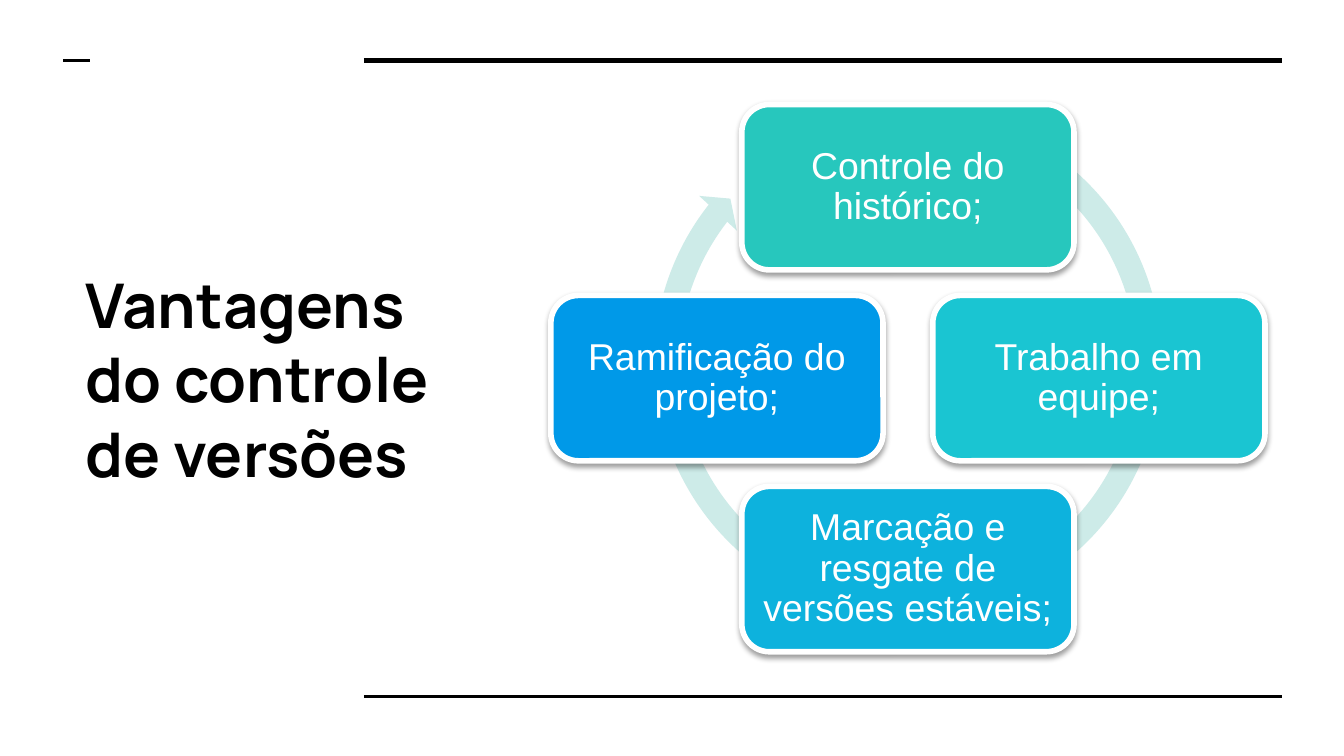
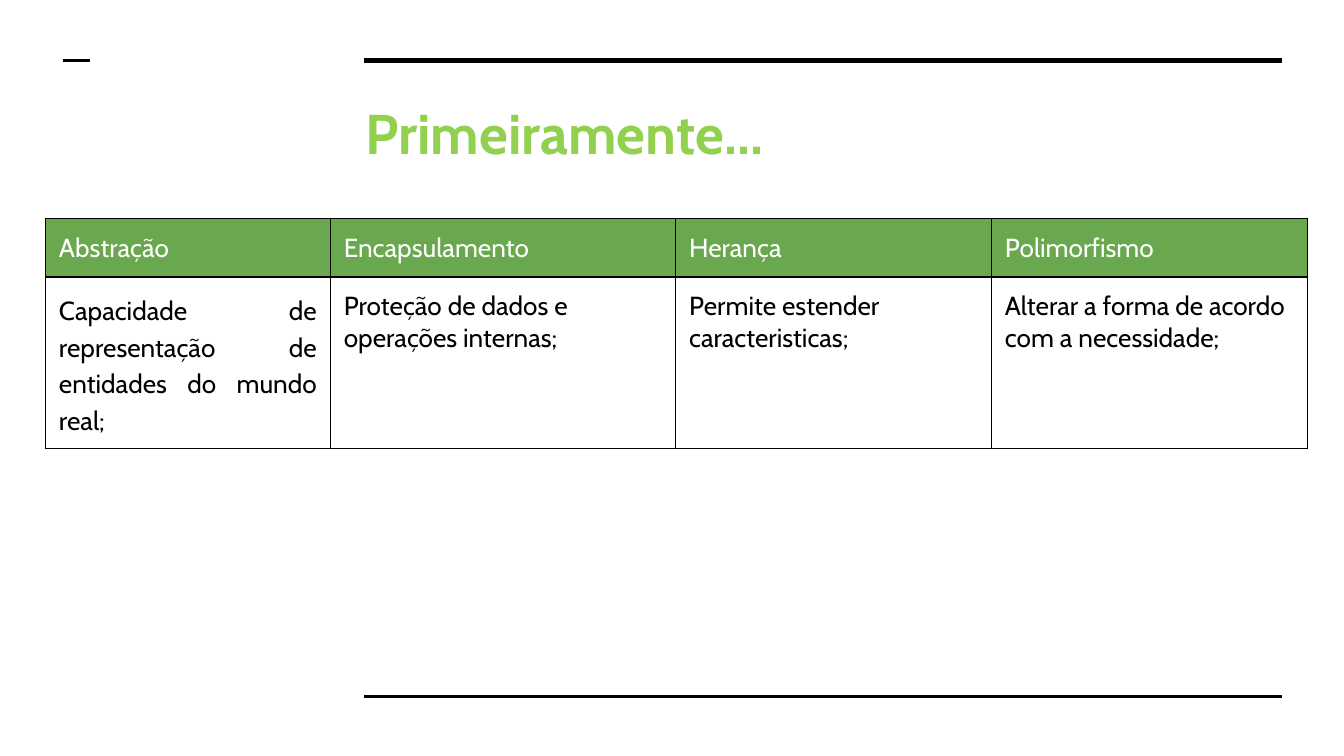
from math import cos, pi, sin

from lxml.etree import SubElement
from pptx import Presentation
from pptx.dml.color import RGBColor
from pptx.enum.shapes import MSO_CONNECTOR, MSO_SHAPE
from pptx.enum.text import MSO_ANCHOR, PP_ALIGN
from pptx.oxml.ns import qn
from pptx.util import Pt

COLORS = {
    "ink": "000000", "paper": "FFFFFF", "ring": "CDEBE8",
    "teal": "27C7BD", "turquoise": "1AC5D2", "cyan": "0DB2DD", "blue": "0099E8",
    "lime": "92D050", "green": "6AA84F",
}
# left, right, y, weight
RULES = [(195, 687, 32.4, 3), (195, 687, 373, 1.5), (33.8, 48.2, 32.4, 1.5)]

ADVANTAGES_TITLE = "Vantagens do controle de versões"
# Clockwise from the top
ADVANTAGES = [
    ("Controle do histórico;", "teal"),
    ("Trabalho em equipe;", "turquoise"),
    ("Marcação e resgate de versões estáveis;", "cyan"),
    ("Ramificação do projeto;", "blue"),
]
CYCLE_CENTER = (486.4, 202.6)
CYCLE_RADIUS = 102.3
BOX_SIZE = (178, 88.6)
RING_SIZE, RING_MIDDLE = 286, 194
RING_THICKNESS, RING_HEAD = 0.047, 0.048
RING_ANGLES = (4.55, 218.09, 297.67)

PILLARS_TITLE = "Primeiramente..."
PILLARS = [
    ("Abstração", "Capacidade de representação de entidades do mundo real;", 152.6),
    ("Encapsulamento", "Proteção de dados e operações internas;", 185),
    ("Herança", "Permite estender caracteristicas;", 169.2),
    ("Polimorfismo", "Alterar a forma de acordo com a necessidade;", 169.2),
]
TABLE_LEFT, TABLE_TOP, TABLE_HEIGHT, ROW_HEIGHT = 24.4, 117.2, 121, 30.2


def rgb(color):
    return RGBColor.from_string(COLORS[color])


def write(frame, text, font, size, color, bold=False):
    """Fill the first paragraph with one run and return the paragraph."""
    paragraph = frame.paragraphs[0]
    run = paragraph.add_run()
    run.text = text
    run.font.name = font
    run.font.size = Pt(size)
    run.font.bold = bold
    run.font.color.rgb = rgb(color)
    return paragraph


def set_insets(frame, x, y):
    frame.margin_left = frame.margin_right = Pt(x)
    frame.margin_top = frame.margin_bottom = Pt(y)


def add_title(slide, place, text, font, size, color, anchor):
    frame = slide.shapes.add_textbox(*map(Pt, place)).text_frame
    frame.word_wrap = True
    frame.vertical_anchor = anchor
    set_insets(frame, 7.2, 7.2)
    return write(frame, text, font, size, color, bold=True)


def add_ruled_slide(deck):
    slide = deck.slides.add_slide(deck.slide_layouts[6])
    slide.background.fill.solid()
    slide.background.fill.fore_color.rgb = rgb("paper")
    for left, right, y, weight in RULES:
        rule = slide.shapes.add_connector(
            MSO_CONNECTOR.STRAIGHT, Pt(left), Pt(y), Pt(right), Pt(y))
        rule.line.color.rgb = rgb("ink")
        rule.line.width = Pt(weight)
        SubElement(rule._element.spPr, qn("a:effectLst"))
    return slide


def add_filled_shape(slide, preset, center, size, color):
    (x, y), (width, height) = center, size
    shape = slide.shapes.add_shape(
        preset, Pt(x - width / 2), Pt(y - height / 2), Pt(width), Pt(height))
    shape.shadow.inherit = False
    shape.fill.solid()
    shape.fill.fore_color.rgb = rgb(color)
    shape.line.fill.background()
    return shape


def drop_shadow(shape):
    effects = shape._element.spPr.find(qn("a:effectLst"))
    shadow = SubElement(effects, qn("a:outerShdw"), blurRad=str(Pt(3.1)),
                        dist=str(Pt(1.6)), dir=str(90 * 60000), rotWithShape="0")
    tint = SubElement(shadow, qn("a:srgbClr"), val=COLORS["ink"])
    SubElement(tint, qn("a:alpha"), val="38000")


def add_cycle(slide):
    center_x, center_y = CYCLE_CENTER
    ring = add_filled_shape(slide, MSO_SHAPE.CIRCULAR_ARROW, (center_x, RING_MIDDLE),
                            (RING_SIZE, RING_SIZE), "ring")
    # One degree is 60000 units, and adjustments count in 100000
    angles = [degrees * 0.6 for degrees in RING_ANGLES]
    for index, value in enumerate([RING_THICKNESS, *angles, RING_HEAD]):
        ring.adjustments[index] = value

    for index, (advantage, color) in enumerate(ADVANTAGES):
        turn = 2 * pi * index / len(ADVANTAGES)
        center = (center_x + CYCLE_RADIUS * sin(turn), center_y - CYCLE_RADIUS * cos(turn))
        box = add_filled_shape(slide, MSO_SHAPE.ROUNDED_RECTANGLE, center, BOX_SIZE, color)
        box.line.color.rgb = rgb("paper")
        box.line.width = Pt(3)
        drop_shadow(box)
        frame = box.text_frame
        frame.word_wrap = True
        frame.vertical_anchor = MSO_ANCHOR.MIDDLE
        set_insets(frame, 6, 6)
        paragraph = write(frame, advantage, "Arial", 20, "paper")
        paragraph.alignment = PP_ALIGN.CENTER
        paragraph.line_spacing = 0.9


def outline_cell(cell):
    properties = cell._tc.get_or_add_tcPr()
    for side in ("lnL", "lnR", "lnT", "lnB"):
        border = SubElement(properties, qn(f"a:{side}"), w=str(Pt(0.75)))
        fill = SubElement(border, qn("a:solidFill"))
        SubElement(fill, qn("a:srgbClr"), val=COLORS["ink"])


def add_pillars(slide):
    total_width = sum(width for _, _, width in PILLARS)
    holder = slide.shapes.add_table(2, len(PILLARS), Pt(TABLE_LEFT), Pt(TABLE_TOP),
                                    Pt(total_width), Pt(TABLE_HEIGHT))
    table = holder.table
    table.first_row = table.horz_banding = False
    for row in table.rows:
        row.height = Pt(ROW_HEIGHT)
    holder.height = Pt(TABLE_HEIGHT)

    for column, (pillar, meaning, width) in enumerate(PILLARS):
        table.columns[column].width = Pt(width)
        for row, (text, color) in enumerate([(pillar, "paper"), (meaning, "ink")]):
            cell = table.cell(row, column)
            set_insets(cell, 7.2, 7.2)
            outline_cell(cell)
            if row == 0:
                cell.fill.solid()
                cell.fill.fore_color.rgb = rgb("green")
            else:
                cell.fill.background()
            write(cell.text_frame, text, "Cabin", 14, color)

    abstraction = table.cell(1, 0).text_frame.paragraphs[0]
    abstraction.alignment = PP_ALIGN.JUSTIFY
    abstraction.line_spacing = 1.15
    abstraction.space_after = Pt(16)


def main():
    deck = Presentation()
    deck.slide_width, deck.slide_height = Pt(720), Pt(405)

    advantages = add_ruled_slide(deck)
    title = add_title(advantages, (38.9, 81.4, 209.5, 242), ADVANTAGES_TITLE,
                      "Manrope", 33, "ink", MSO_ANCHOR.MIDDLE)
    title.line_spacing = Pt(40)
    title.space_after = Pt(16)
    add_cycle(advantages)

    pillars = add_ruled_slide(deck)
    add_title(pillars, (188.6, 45.4, 497.5, 49.7), PILLARS_TITLE,
              "Cabin", 30, "lime", MSO_ANCHOR.TOP)
    add_pillars(pillars)

    deck.save("out.pptx")


if __name__ == "__main__":
    main()
